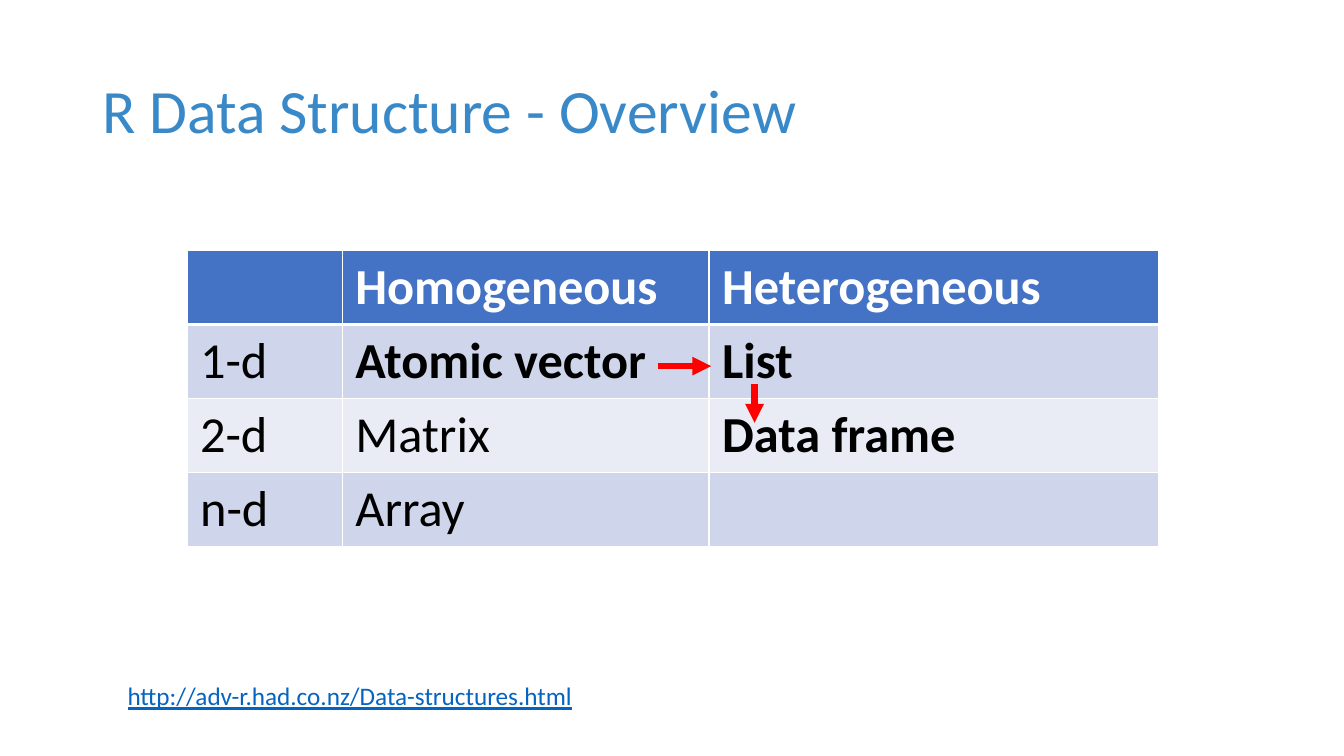
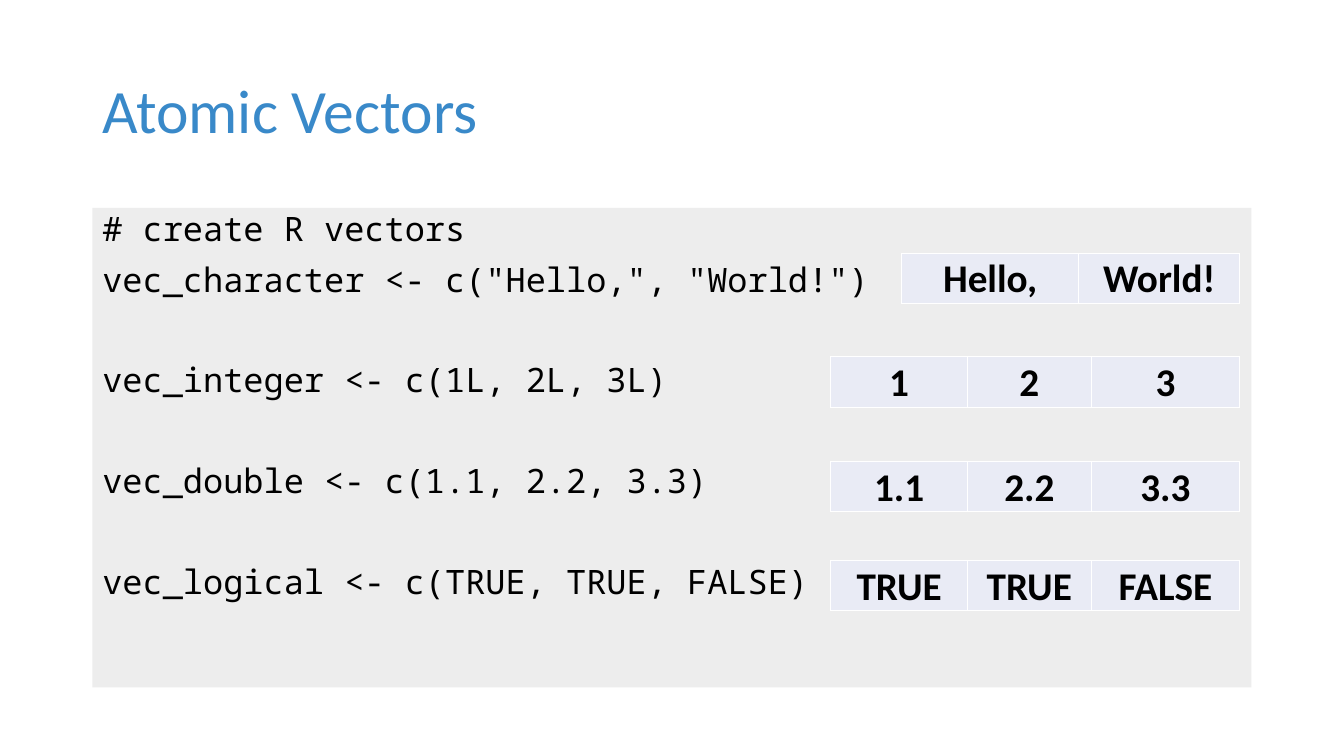
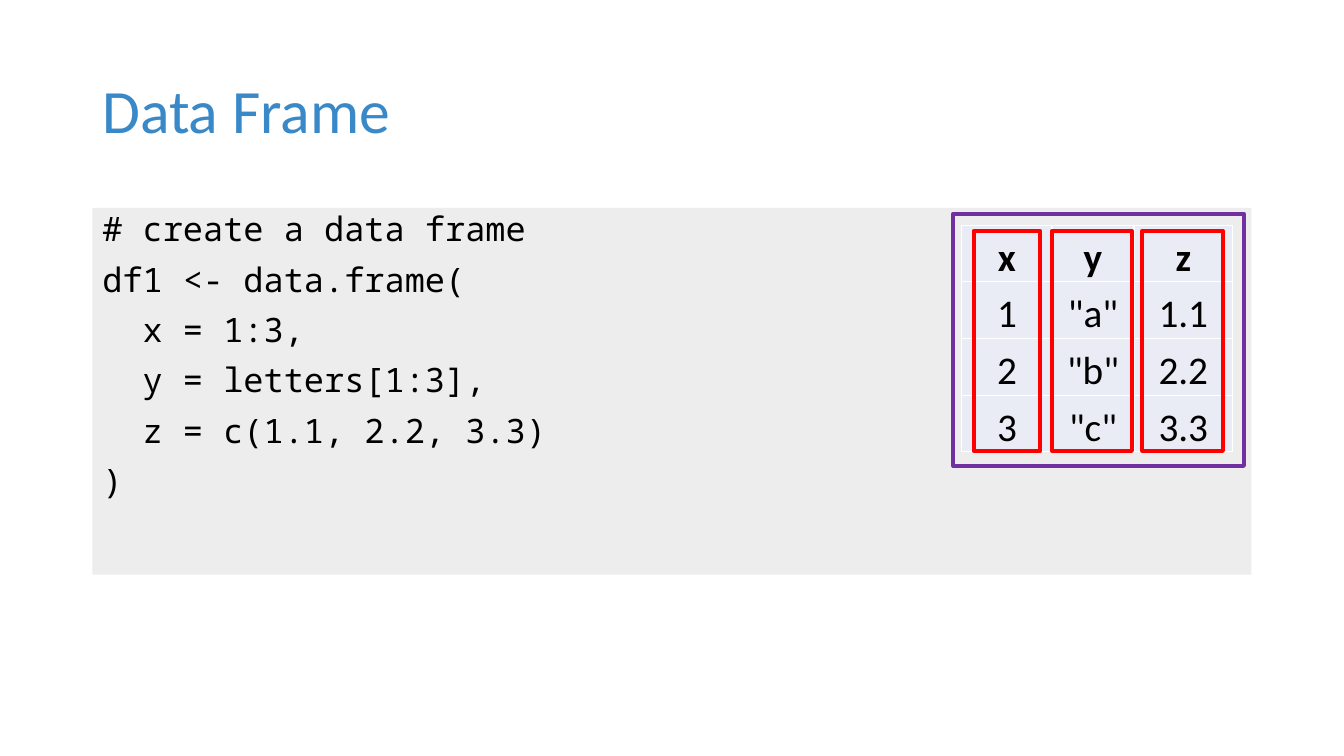
"""Build three slides on R data structures."""
from dataclasses import dataclass

from lxml import etree
from pptx import Presentation
from pptx.dml.color import RGBColor
from pptx.enum.shapes import MSO_CONNECTOR, MSO_SHAPE
from pptx.enum.text import MSO_ANCHOR, PP_ALIGN
from pptx.oxml.ns import qn
from pptx.util import Pt

RECT = MSO_SHAPE.RECTANGLE
LINE = MSO_CONNECTOR.STRAIGHT
TOP, MIDDLE, BOTTOM = MSO_ANCHOR.TOP, MSO_ANCHOR.MIDDLE, MSO_ANCHOR.BOTTOM
LEFT, CENTER = PP_ALIGN.LEFT, PP_ALIGN.CENTER


@dataclass(frozen=True)
class Theme:
    sans: str = "Calibri"
    mono: str = "Noto Sans Mono"
    title: str = "3989C9"
    head: str = "4472C4"
    band: str = "CFD5EA"
    pale: str = "E9EBF5"
    panel: str = "EDEDED"
    white: str = "FFFFFF"
    black: str = "000000"
    red: str = "FF0000"
    purple: str = "7030A0"
    link: str = "0563C1"
    title_size: int = 44
    grid_size: int = 36
    cell_size: int = 28
    code_size: int = 24
    note_size: int = 18
    indent: float = 28.8
    code_gap: int = 10
    blank_gap: int = 46


class Deck:
    def __init__(self, theme):
        self.theme = theme
        self.prs = Presentation()
        self.prs.slide_width, self.prs.slide_height = Pt(960), Pt(540)
        self.slide = None

    def add(self, title):
        self.slide = self.prs.slides.add_slide(self.prs.slide_layouts[6])
        t = self.theme
        para = self.text(title, (66, 29, 828, 104), t.title_size, t.title, MIDDLE)
        para.line_spacing = 0.9

    def style(self, para, size, color, name=None, bold=False):
        font = para.font
        font.name, font.size, font.bold = name or self.theme.sans, Pt(size), bold
        font.color.rgb = RGBColor.from_string(color)

    def text(self, words, area, size, color, anchor=TOP):
        frame = self.slide.shapes.add_textbox(*map(Pt, area)).text_frame
        frame.word_wrap, frame.vertical_anchor = True, anchor
        para = frame.paragraphs[0]
        para.text = words
        self.style(para, size, color)
        return para

    def box(self, area, fill=None, line=None):
        shape = self.slide.shapes.add_shape(RECT, *map(Pt, area))
        shape.shadow.inherit = False
        if fill:
            shape.fill.solid()
            shape.fill.fore_color.rgb = RGBColor.from_string(fill)
        else:
            shape.fill.background()
        if line:
            shape.line.color.rgb = RGBColor.from_string(line)
            shape.line.width = Pt(3)
        else:
            shape.line.fill.background()
        return shape

    def code(self, lines, height):
        t = self.theme
        frame = self.box((66, 148.5, 828, height), t.panel).text_frame
        frame.word_wrap, frame.vertical_anchor = True, TOP
        for i, (words, gap, indent) in enumerate(lines):
            para = frame.add_paragraph() if i else frame.paragraphs[0]
            para.text, para.alignment = words, LEFT
            para.line_spacing, para.space_before = 0.9, Pt(gap)
            para._p.get_or_add_pPr().set("marL", str(Pt(indent)))
            self.style(para, t.code_size, t.black, t.mono)

    def arrow(self, *ends):
        line = self.slide.shapes.add_connector(LINE, *map(Pt, ends))
        line.line.color.rgb = RGBColor.from_string(self.theme.red)
        line.line.width = Pt(4.5)
        etree.SubElement(line.line._get_or_add_ln(), qn("a:tailEnd"), type="triangle")
        etree.SubElement(line._element.spPr, qn("a:effectLst"))

    def grid(self, left, top, cols, height, rows):
        area = left, top, sum(cols), height * len(rows)
        table = self.slide.shapes.add_table(
            len(rows), len(cols), *map(Pt, area)).table
        table.first_row = table.horz_banding = False
        for col, width in zip(table.columns, cols):
            col.width = Pt(width)
        for row in table.rows:
            row.height = Pt(height)
        return table

    def border(self, cell, widths):
        props = cell._tc.get_or_add_tcPr()
        for side, width in zip("LRTB", widths):
            line = etree.SubElement(props, qn(f"a:ln{side}"), w=str(Pt(width)))
            fill = etree.SubElement(line, qn("a:solidFill"))
            etree.SubElement(fill, qn("a:srgbClr"), val=self.theme.white)

    def cell(self, cell, words, fill, color, size, bold, align, anchor, pads,
             edges=(1, 1, 1, 1)):
        self.border(cell, edges)
        cell.fill.solid()
        cell.fill.fore_color.rgb = RGBColor.from_string(fill)
        cell.vertical_anchor = anchor
        cell.margin_left = cell.margin_right = Pt(pads[0])
        cell.margin_top, cell.margin_bottom = Pt(pads[1]), Pt(pads[2])
        para = cell.text_frame.paragraphs[0]
        para.text, para.alignment = words, align
        self.style(para, size, color, bold=bold)

    def matrix(self, left, top, cols, height, rows, strong):
        t = self.theme
        table = self.grid(left, top, cols, height, rows)
        for r, row in enumerate(rows):
            fill = t.head if r == 0 else t.band if r % 2 else t.pale
            color = t.white if r == 0 else t.black
            edges = 1, 1, 3 if r == 1 else 1, 3 if r == 0 else 1
            for c, words in enumerate(row):
                self.cell(table.cell(r, c), words, fill, color, t.grid_size,
                          r == 0 or words in strong, LEFT, TOP,
                          (9.4, 4.3, 4.3), edges)

    def values(self, left, top, cols, height, rows):
        t = self.theme
        table = self.grid(left, top, cols, height, rows)
        for r, row in enumerate(rows):
            for c, words in enumerate(row):
                self.cell(table.cell(r, c), words, t.pale, t.black, t.cell_size,
                          r == 0, CENTER, BOTTOM, (1.4, 1.4, 0))


def main():
    t = Theme()
    deck = Deck(t)

    deck.add("R Data Structure - Overview")
    deck.matrix(133.5, 178.8, (111, 262, 321), 53, (
        ("", "Homogeneous", "Heterogeneous"),
        ("1-d", "Atomic vector", "List"),
        ("2-d", "Matrix", "Data frame"),
        ("n-d", "Array", ""),
    ), ("Atomic vector", "List", "Data frame"))
    deck.text("http://adv-r.had.co.nz/Data-structures.html",
              (84, 482.5, 497, 29), t.note_size, t.link).font.underline = True
    deck.arrow(470, 261.5, 508, 261.5)
    deck.arrow(539, 274.5, 539, 302)

    deck.add("Atomic Vectors")
    deck.code((
        ("# create R vectors", t.code_gap, 0),
        ('vec_character <- c("Hello,", "World!")', t.code_gap, 0),
        ("vec_integer <- c(1L, 2L, 3L)", t.blank_gap, 0),
        ("vec_double <- c(1.1, 2.2, 3.3)", t.blank_gap, 0),
        ("vec_logical <- c(TRUE, TRUE, FALSE)", t.blank_gap, 0),
    ), 342.5)
    pair, triple = (126.5, 115), (97.5, 88.5, 106)
    for top, cols, row in (
        (180.8, pair, ("Hello,", "World!")),
        (254.8, triple, ("1", "2", "3")),
        (329.5, triple, ("1.1", "2.2", "3.3")),
        (400.3, triple, ("TRUE", "TRUE", "FALSE")),
    ):
        deck.values(885.5 - sum(cols), top, cols, 36, (row,))

    deck.add("Data Frame")
    deck.code((
        ("# create a data frame", t.code_gap, 0),
        ("df1 <- data.frame(", t.code_gap, 0),
        ("x = 1:3,", t.code_gap, t.indent),
        ("y = letters[1:3],", t.code_gap, t.indent),
        ("z = c(1.1, 2.2, 3.3)", t.code_gap, t.indent),
        (")", t.code_gap, 0),
    ), 262)
    deck.values(687, 160.8, (64.5, 58.5, 70.5), 40.5, (
        ("x", "y", "z"),
        ("1", '"a"', "1.1"),
        ("2", '"b"', "2.2"),
        ("3", '"c"', "3.3"),
    ))
    for left, width in ((695.5, 47.5), (751.5, 57), (816, 57.5)):
        deck.box((left, 165, width, 157), line=t.red)
    deck.box((681, 152.8, 207.5, 180), line=t.purple)

    deck.prs.save("out.pptx")


if __name__ == "__main__":
    main()
